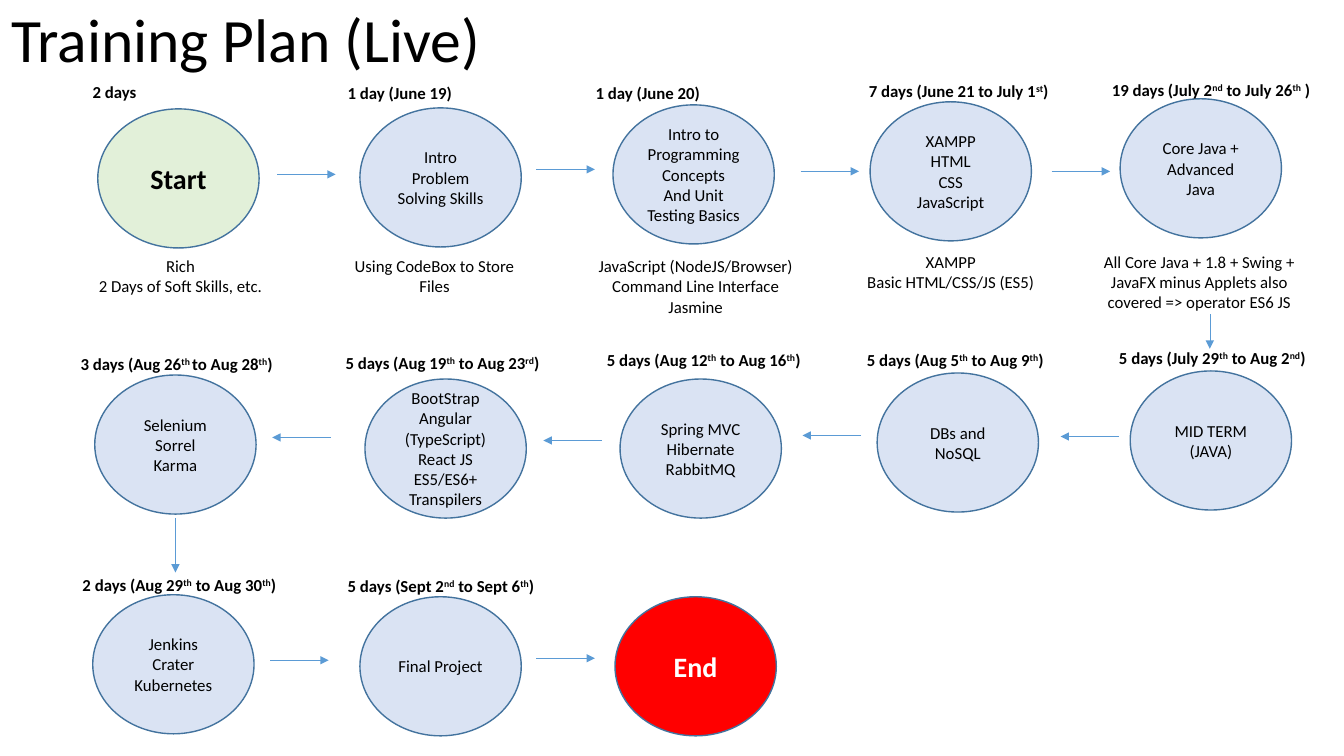
import dataclasses
import typing

import pptx
import pptx.dml.color
import pptx.enum.shapes
import pptx.enum.text
import pptx.oxml.ns
import pptx.util
from lxml import etree

Inches = pptx.util.Inches


@dataclasses.dataclass(frozen=True)
class Theme:
    font: str = "Calibri"
    title_size: int = 44
    endpoint_size: int = 20
    body_size: int = 12
    black: str = "000000"
    white: str = "FFFFFF"
    step_fill: str = "DAE3F3"
    start_fill: str = "E2F0D9"
    end_fill: str = "FF0000"
    outline: str = "43739E"
    arrow: str = "5B9BD5"


THEME = Theme()

# Grid, in inches
SLIDE_WIDTH, SLIDE_HEIGHT = 13.33, 7.5
FIRST_COLUMN, COLUMN_STEP = 0.95, 2.55
ROW_TOPS = (1.0, 3.7, 5.9)
CIRCLE_WIDTH, CIRCLE_HEIGHT = 1.6, 1.38
ARROW_LENGTH = 0.58
LINE_HEIGHT, BOX_PADDING = 0.2, 0.1


@dataclasses.dataclass(frozen=True)
class Stage:
    """Offsets are measured from the top left of the stage's grid cell."""
    text: str
    circle: tuple                                # left, top
    date: str = ""                               # ^ encloses superscripts
    date_box: typing.Optional[tuple] = None      # left, top, width
    caption: str = ""
    caption_box: typing.Optional[tuple] = None   # left, top, width
    next_arrow: typing.Optional[tuple] = None    # left, top
    down_arrow: typing.Optional[tuple] = None    # left, top, length
    fill: str = THEME.step_fill
    color: str = THEME.black
    endpoint: bool = False


ROWS = (
    (
        Stage("Start", (0.02, 0.08), "2 days", (-0.13, -0.24, 0.69),
              "Rich\n2 Days of Soft Skills, etc.", (-0.21, 1.49, 2.1),
              next_arrow=(1.8, 0.73), fill=THEME.start_fill, endpoint=True),
        Stage("Intro\nProblem Solving Skills", (0.07, 0.07),
              "1 day (June 19)", (-0.15, -0.23, 1.45),
              "Using CodeBox to Store Files", (-0.24, 1.49, 2.1),
              next_arrow=(1.82, 0.68)),
        Stage("Intro to Programming Concepts\nAnd Unit Testing Basics", (0.03, 0.04),
              "1 day (June 20)", (-0.24, -0.23, 1.4),
              "JavaScript (NodeJS/Browser)\nCommand Line Interface\nJasmine",
              (-0.64, 1.49, 2.98), next_arrow=(1.89, 0.7)),
        Stage("XAMPP\nHTML\nCSS\nJavaScript", (0.03, 0.01),
              "7 days (June 21 to July 1^st^)", (-0.08, -0.25, 2.04),
              "XAMPP\nBasic HTML/CSS/JS (ES5)", (-0.3, 1.45, 2.26),
              next_arrow=(1.83, 0.7)),
        Stage("Core Java +\nAdvanced Java", (-0.04, -0.02),
              "19 days (July 2^nd^ to July 26^th^ )", (-0.22, -0.26, 2.2),
              "All Core Java + 1.8 + Swing + JavaFX minus Applets also "
              "covered => operator ES6 JS", (-0.33, 1.45, 2.15),
              down_arrow=(0.85, 2.12, 0.34)),
    ),
    (
        Stage("Selenium\nSorrel\nKarma", (-0.01, 0.02),
              "3 days (Aug 26^th ^to Aug 28^th^)", (-0.25, -0.24, 2.25),
              next_arrow=(1.75, 0.64), down_arrow=(0.79, 1.44, 0.54)),
        Stage("BootStrap\nAngular (TypeScript)\nReact JS\nES5/ES6+\nTranspilers",
              (0.12, 0.06), "5 days (Aug 19^th^ to Aug 23^rd^)", (-0.17, -0.25, 2.17),
              next_arrow=(1.89, 0.67)),
        Stage("Spring MVC\nHibernate\nRabbitMQ", (0.1, 0.06),
              "5 days (Aug 12^th^ to Aug 16^th^)", (-0.13, -0.28, 2.25),
              next_arrow=(1.91, 0.62)),
        Stage("DBs and NoSQL", (0.1, 0),
              "5 days (Aug 5^th^ to Aug 9^th^)", (-0.1, -0.28, 2.04),
              next_arrow=(1.92, 0.63)),
        Stage("MID TERM (JAVA)", (0.06, -0.02),
              "5 days (July 29^th^ to Aug 2^nd^)", (-0.15, -0.3, 2.13)),
    ),
    (
        Stage("Jenkins\nCrater\nKubernetes", (-0.03, 0),
              "2 days (Aug 29^th^ to Aug 30^th^)", (-0.23, -0.25, 2.26),
              next_arrow=(1.73, 0.65)),
        Stage("Final Project", (0.07, 0.02),
              "5 days (Sept 2^nd^ to Sept 6^th^)", (-0.15, -0.24, 2.17),
              next_arrow=(1.82, 0.63)),
        Stage("End", (0.05, 0.02), fill=THEME.end_fill, color=THEME.white,
              endpoint=True),
    ),
)


def rgb(value):
    return pptx.dml.color.RGBColor.from_string(value)


def write_text(shape, text, *, size=THEME.body_size, color=THEME.black, bold=False,
               align="CENTER", anchor="TOP", spacing=None):
    frame = shape.text_frame
    frame.word_wrap = True
    frame.auto_size = pptx.enum.text.MSO_AUTO_SIZE.NONE
    frame.vertical_anchor = getattr(pptx.enum.text.MSO_ANCHOR, anchor)
    for index, line in enumerate(text.split("\n")):
        paragraph = frame.add_paragraph() if index else frame.paragraphs[0]
        paragraph.alignment = getattr(pptx.enum.text.PP_ALIGN, align)
        paragraph.line_spacing = spacing
        for position, part in enumerate(line.split("^")):
            run = paragraph.add_run()
            run.text = part
            run.font.name = THEME.font
            run.font.size = pptx.util.Pt(size)
            run.font.bold = bold
            run.font.color.rgb = rgb(color)
            if position % 2:
                run.font._element.set("baseline", "30000")


def add_label(slide, text, left, top, width, **text_format):
    height = BOX_PADDING + LINE_HEIGHT * (text.count("\n") + 1)
    box = slide.shapes.add_textbox(Inches(left), Inches(top), Inches(width), Inches(height))
    write_text(box, text, **text_format)


def add_arrow(slide, start, end):
    connector = slide.shapes.add_connector(
        pptx.enum.shapes.MSO_CONNECTOR.STRAIGHT, *map(Inches, (*start, *end)))
    connector.line.color.rgb = rgb(THEME.arrow)
    connector.line.width = pptx.util.Pt(0.5)
    qualified = pptx.oxml.ns.qn
    etree.SubElement(connector.line._get_or_add_ln(), qualified("a:tailEnd"), type="triangle")
    etree.SubElement(connector._element.spPr, qualified("a:effectLst"))


def add_title(slide, left, top, width, height):
    title = slide.shapes.title
    title.left, title.top, title.width, title.height = map(Inches, (left, top, width, height))
    write_text(title, "Training Plan (Live)", size=THEME.title_size, align="LEFT",
               anchor="MIDDLE", spacing=0.9)


def add_stage(slide, stage, left, top, leftward):
    # Circle
    circle = slide.shapes.add_shape(
        pptx.enum.shapes.MSO_SHAPE.OVAL, Inches(left + stage.circle[0]),
        Inches(top + stage.circle[1]), Inches(CIRCLE_WIDTH), Inches(CIRCLE_HEIGHT))
    circle.shadow.inherit = False
    circle.fill.solid()
    circle.fill.fore_color.rgb = rgb(stage.fill)
    circle.line.color.rgb = rgb(THEME.outline)
    circle.line.width = pptx.util.Pt(1)
    write_text(circle, stage.text, color=stage.color, bold=stage.endpoint, anchor="MIDDLE",
               size=THEME.endpoint_size if stage.endpoint else THEME.body_size)
    # Date above and caption below
    if stage.date:
        x, y, width = stage.date_box
        add_label(slide, stage.date, left + x, top + y, width, bold=True, align="LEFT")
    if stage.caption:
        x, y, width = stage.caption_box
        add_label(slide, stage.caption, left + x, top + y, width)
    # Arrows in the gap to the right and to the row below
    if stage.next_arrow:
        x, y = left + stage.next_arrow[0], top + stage.next_arrow[1]
        ends = [(x, y), (x + ARROW_LENGTH, y)]
        add_arrow(slide, *(reversed(ends) if leftward else ends))
    if stage.down_arrow:
        x, y, length = stage.down_arrow
        add_arrow(slide, (left + x, top + y), (left + x, top + y + length))


def add_row(slide, stages, top, leftward):
    for column, stage in enumerate(stages):
        add_stage(slide, stage, FIRST_COLUMN + column * COLUMN_STEP, top, leftward)


def main():
    presentation = pptx.Presentation()
    presentation.slide_width = Inches(SLIDE_WIDTH)
    presentation.slide_height = Inches(SLIDE_HEIGHT)
    slide = presentation.slides.add_slide(presentation.slide_layouts.get_by_name("Title Only"))
    add_title(slide, 0.01, -0.01, 11.5, 0.87)
    # The path snakes: every second row runs right to left
    for index, (stages, top) in enumerate(zip(ROWS, ROW_TOPS)):
        add_row(slide, stages, top, leftward=index % 2 == 1)
    presentation.save("out.pptx")


if __name__ == "__main__":
    main()
